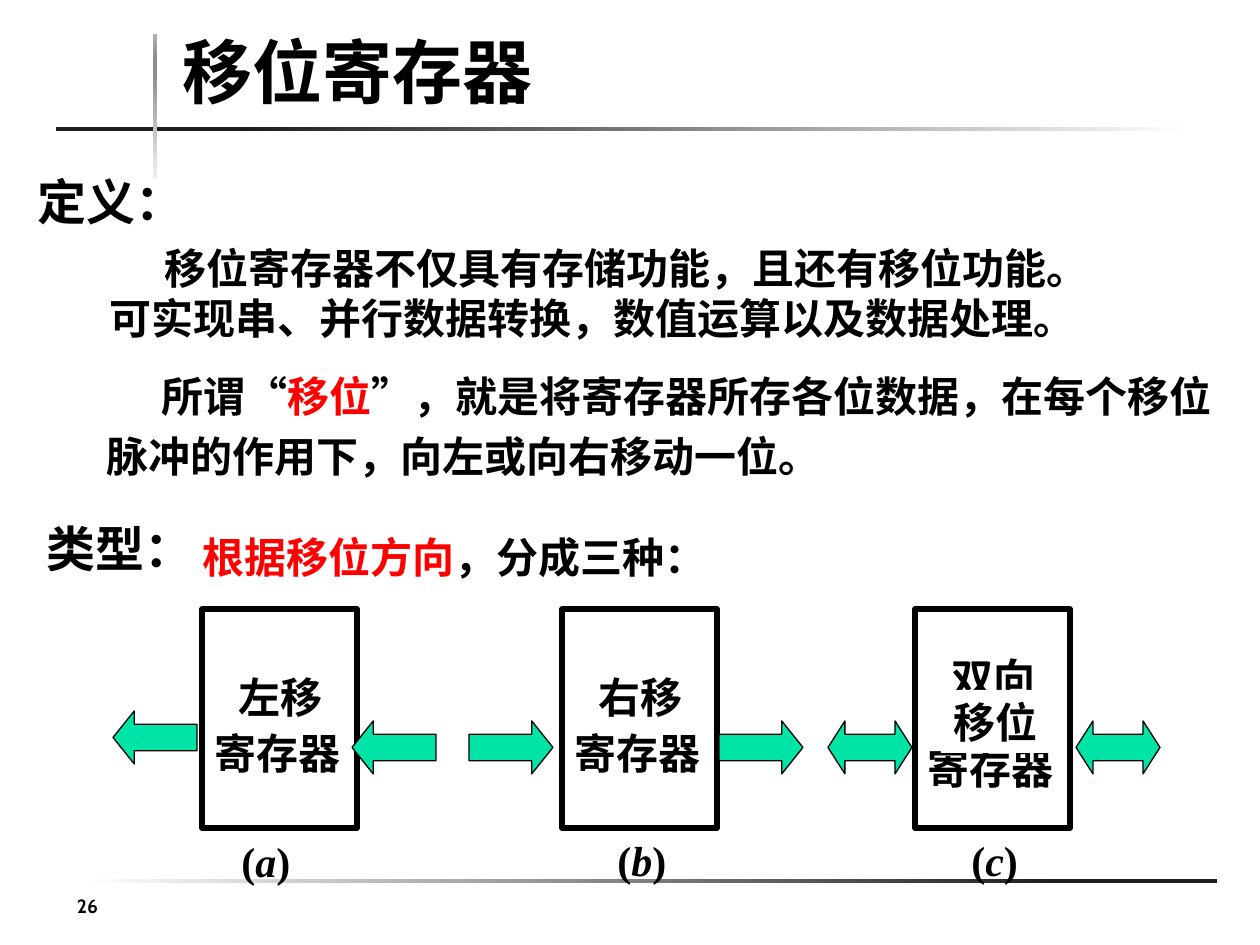
from typing import NamedTuple

from lxml import etree
from pptx import Presentation
from pptx.dml.color import RGBColor
from pptx.enum.lang import MSO_LANGUAGE_ID
from pptx.enum.shapes import MSO_SHAPE
from pptx.enum.text import MSO_ANCHOR, MSO_AUTO_SIZE, PP_ALIGN
from pptx.oxml.ns import qn
from pptx.util import Emu, Pt

PX_PER_INCH = 126
BLACK = RGBColor(0x00, 0x00, 0x00)
WHITE = RGBColor(0xFF, 0xFF, 0xFF)
RED = RGBColor(0xFF, 0x00, 0x00)
GREEN = RGBColor(0x00, 0xE4, 0xA8)
INK = RGBColor(0x1C, 0x1C, 0x1C)
PALE = RGBColor(0xF2, 0xF2, 0xF2)
GREY = RGBColor(0x8C, 0x8C, 0x8C)
SILVER = RGBColor(0xB2, 0xB2, 0xB2)
SERIF = "Times New Roman"
SANS = "Cabin"
CHINESE = MSO_LANGUAGE_ID.SIMPLIFIED_CHINESE
RECTANGLE = MSO_SHAPE.RECTANGLE
LEFT = MSO_SHAPE.LEFT_ARROW
RIGHT = MSO_SHAPE.RIGHT_ARROW
BOTH = MSO_SHAPE.LEFT_RIGHT_ARROW
TOP, MIDDLE, BOTTOM = MSO_ANCHOR.TOP, MSO_ANCHOR.MIDDLE, MSO_ANCHOR.BOTTOM
ALIGN_LEFT, ALIGN_CENTER = PP_ALIGN.LEFT, PP_ALIGN.CENTER
NO_AUTOFIT = MSO_AUTO_SIZE.NONE

REGISTER_TOP, REGISTER_WIDTH, REGISTER_HEIGHT = 609, 155, 219
LABEL_HEIGHT = 63
ARROW_WIDTH, ARROW_HEIGHT = 84, 53


class Area(NamedTuple):
    left: int
    top: int
    width: int
    height: int


class Span(NamedTuple):
    text: str
    color: RGBColor = BLACK
    italic: bool = False


class Note(NamedTuple):
    area: Area
    spans: list[Span]
    size: int = 24
    indent: int = 0
    line_spacing: float = 1.0
    anchor: MSO_ANCHOR = TOP


class Label(NamedTuple):
    text: str
    dx: int
    top: int
    width: int
    fill: RGBColor | None = None


class Register(NamedTuple):
    left: int
    labels: list[Label]
    letter: str
    caption_dx: int
    caption_top: int


class Arrow(NamedTuple):
    kind: MSO_SHAPE
    left: int
    top: int
    head: float


class Rule(NamedTuple):
    area: Area
    stops: list[tuple[int, RGBColor]]
    angle: int = 0


RULES = [
    Rule(Area(83, 879, 1134, 4), [(0, WHITE), (87, INK)]),
    Rule(Area(56, 127, 1134, 4), [(16, INK), (100, WHITE)]),
    Rule(Area(153, 34, 4, 145), [(0, PALE), (74, GREY), (83, GREY), (100, SILVER)], 90),
]
REGISTERS = [
    Register(202, [Label("寄存器", 0, 721, 161), Label("左移", 24, 665, 131)], "a", 27, 829),
    Register(562, [Label("寄存器", 0, 721, 161), Label("右移", 24, 665, 131)], "b", 43, 828),
    Register(915, [Label("寄存器", 0, 736, 161), Label("双向", 24, 646, 131),
                   Label("移位", 26, 690, 123, WHITE)], "c", 44, 828),
]
ARROWS = [
    Arrow(BOTH, 828, 721, 0.32),
    Arrow(BOTH, 1076, 721, 0.32),
    Arrow(RIGHT, 719, 721, 0.4),
    Arrow(RIGHT, 469, 721, 0.4),
    Arrow(LEFT, 352, 721, 0.4),
    Arrow(LEFT, 113, 711, 0.4),
]
NOTES = [
    Note(Area(97, 231, 1024, 123),
         [Span("移位寄存器不仅具有存储功能，且还有移位功能。"
               "可实现串、并行数据转换，数值运算以及数据处理。")],
         indent=55, anchor=MIDDLE),
    Note(Area(94, 354, 1134, 139),
         [Span("所谓“"), Span("移位", RED),
          Span("”，就是将寄存器所存各位数据，在每个移位脉冲的作用下，向左或向右移动一位。")],
         indent=55, line_spacing=1.2),
    Note(Area(25, 165, 348, 72), [Span("定义：")], size=28),
    Note(Area(34, 512, 258, 72), [Span("类型：")], size=28),
    Note(Area(190, 515, 571, 68), [Span("根据移位方向", RED), Span("，分成三种：")],
         line_spacing=1.2),
]


def px(length: int) -> Emu:
    return Emu(round(length * 914400 / PX_PER_INCH))


def emu(area: Area) -> list[Emu]:
    return [px(length) for length in area]


def write_spans(para, spans: list[Span], size: int, font_name: str = SERIF) -> None:
    for span in spans:
        run = para.add_run()
        run.text = span.text
        font = run.font
        font.name, font.size, font.bold = font_name, Pt(size), True
        font.italic = span.italic
        font.color.rgb = span.color
        font.language_id = CHINESE


def add_note(shapes, note: Note, font_name: str = SERIF):
    box = shapes.add_textbox(*emu(note.area))
    frame = box.text_frame
    frame.word_wrap = True
    frame.vertical_anchor = note.anchor
    para = frame.paragraphs[0]
    para.line_spacing = note.line_spacing
    if note.indent:
        para._p.get_or_add_pPr().set("indent", str(px(note.indent)))
    write_spans(para, note.spans, note.size, font_name)
    return box


def add_solid(shapes, kind: MSO_SHAPE, area: Area, fill: RGBColor, line_width: float):
    shape = shapes.add_shape(kind, *emu(area))
    shape.shadow.inherit = False
    shape.fill.solid()
    shape.fill.fore_color.rgb = fill
    shape.line.color.rgb = BLACK
    shape.line.width = Pt(line_width)
    return shape


def add_rule(shapes, rule: Rule) -> None:
    """Draw a thin bar with a gradient of any number of stops."""
    bar = shapes.add_shape(RECTANGLE, *emu(rule.area))
    bar.shadow.inherit = False
    bar.line.fill.background()
    bar.fill.gradient()
    bar.fill.gradient_angle = rule.angle
    stop_list = bar._element.spPr.find(".//" + qn("a:gsLst"))
    for old_stop in list(stop_list):
        stop_list.remove(old_stop)
    for percent, color in rule.stops:
        stop = etree.SubElement(stop_list, qn("a:gs"), pos=str(percent * 1000))
        etree.SubElement(stop, qn("a:srgbClr"), val=str(color))


def add_register(page, register: Register) -> None:
    shapes = page.shapes.add_group_shape().shapes
    body = Area(register.left, REGISTER_TOP, REGISTER_WIDTH, REGISTER_HEIGHT)
    add_solid(shapes, RECTANGLE, body, WHITE, 3)
    for label in register.labels:
        area = Area(register.left + label.dx, label.top, label.width, LABEL_HEIGHT)
        box = add_note(shapes, Note(area, [Span(label.text)]))
        if label.fill is not None:
            box.fill.solid()
            box.fill.fore_color.rgb = label.fill
    caption = Area(register.left + register.caption_dx, register.caption_top, 100, LABEL_HEIGHT)
    add_note(shapes, Note(caption, [Span("("), Span(register.letter, italic=True), Span(")")]))


def add_arrow(shapes, arrow: Arrow) -> None:
    area = Area(arrow.left, arrow.top, ARROW_WIDTH, ARROW_HEIGHT)
    shape = add_solid(shapes, arrow.kind, area, GREEN, 0.75)
    shape.adjustments[0] = 0.5
    shape.adjustments[1] = arrow.head


def set_title(page, text: str) -> None:
    title = page.shapes.title
    title.left, title.top, title.width, title.height = emu(Area(170, 23, 598, 96))
    frame = title.text_frame
    frame.auto_size = NO_AUTOFIT
    frame.vertical_anchor = BOTTOM
    para = frame.paragraphs[0]
    para.alignment = ALIGN_LEFT
    write_spans(para, [Span(text)], 40)


def main() -> None:
    deck = Presentation()
    deck.slide_width, deck.slide_height = px(1260), px(945)
    page = deck.slides.add_slide(deck.slide_layouts[5])
    for rule in RULES:
        add_rule(page.shapes, rule)
    number = add_note(page.shapes, Note(Area(25, 888, 125, 47), [Span("26")], size=11), SANS)
    number.text_frame.paragraphs[0].alignment = ALIGN_CENTER
    set_title(page, "移位寄存器")
    for register in REGISTERS:
        add_register(page, register)
    for arrow in ARROWS:
        add_arrow(page.shapes, arrow)
    for note in NOTES:
        add_note(page.shapes, note)
    deck.save("out.pptx")


if __name__ == "__main__":
    main()
